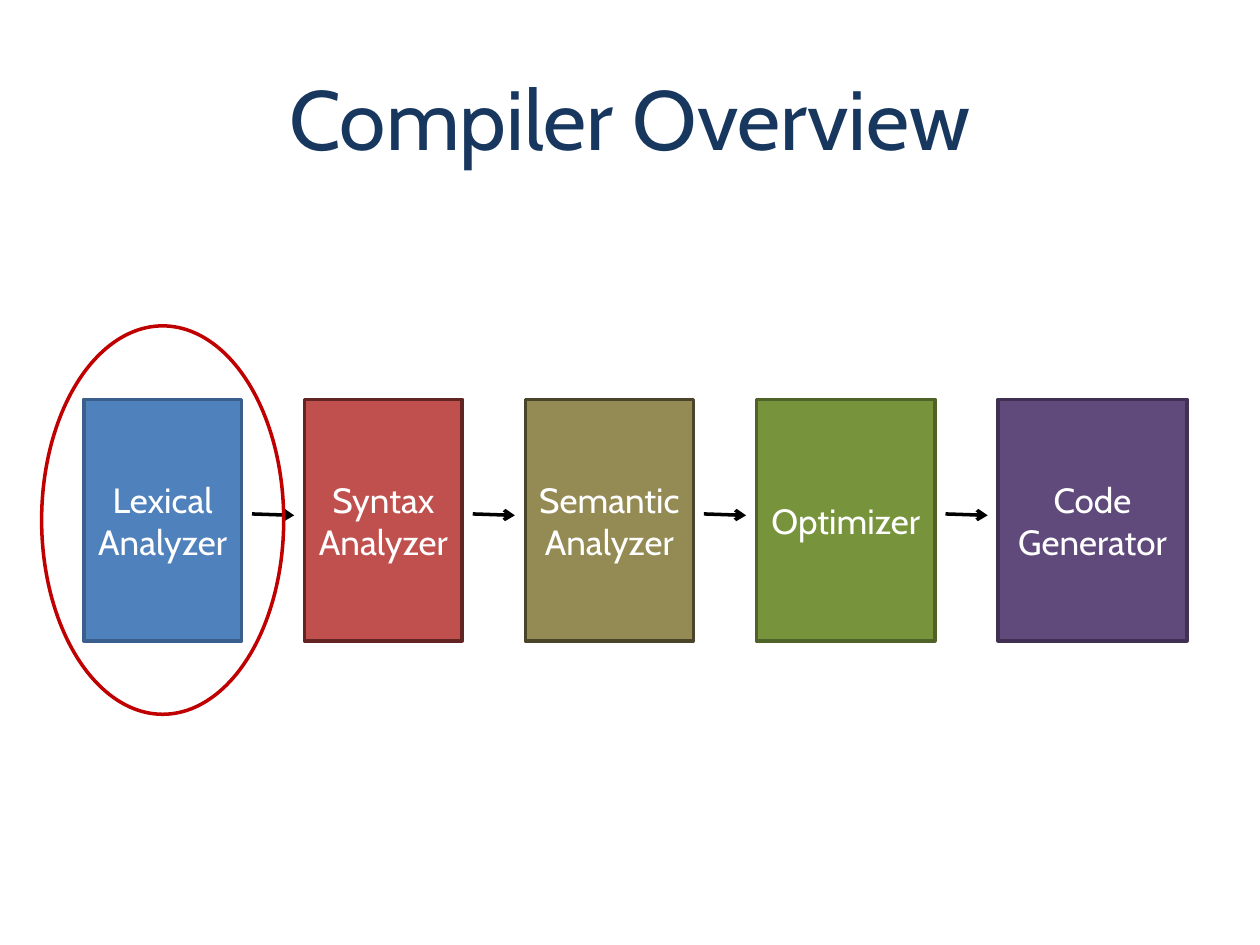
from lxml import etree
from pptx import Presentation
from pptx import util as u
from pptx.dml.color import RGBColor
from pptx.enum import shapes, text
from pptx.oxml import ns

NAVY = RGBColor(0x17, 0x37, 0x5E)
WHITE = RGBColor(0xFF, 0xFF, 0xFF)
BLACK = RGBColor(0x00, 0x00, 0x00)
HIGHLIGHT = RGBColor(0xC0, 0x00, 0x00)
BLUE, BLUE_EDGE = RGBColor(0x4F, 0x81, 0xBD), RGBColor(0x3A, 0x5F, 0x8C)
RED, RED_EDGE = RGBColor(0xC0, 0x50, 0x4D), RGBColor(0x63, 0x25, 0x23)
TAN, TAN_EDGE = RGBColor(0x94, 0x8A, 0x54), RGBColor(0x4A, 0x45, 0x2A)
GREEN, GREEN_EDGE = RGBColor(0x77, 0x93, 0x3C), RGBColor(0x4F, 0x62, 0x28)
PURPLE, PURPLE_EDGE = RGBColor(0x60, 0x4A, 0x7B), RGBColor(0x40, 0x31, 0x52)

TITLE = "Compiler Overview"
STAGES = [
    (["Lexical", "Analyzer"], 3.18, BLUE, BLUE_EDGE),
    (["Syntax", "Analyzer"], 3.18, RED, RED_EDGE),
    (["Semantic", "Analyzer"], 3.39, TAN, TAN_EDGE),
    (["Optimizer"], 3.6, GREEN, GREEN_EDGE),
    (["Code", "Generator"], 3.81, PURPLE, PURPLE_EDGE),
]
LEFT, TOP, HEIGHT, GAP = 1.69, 8.05, 4.87, 1.27
ARROW_INSET, ARROW_TOP, ARROW_DROP = 0.21, 10.36, 0.03
OVAL_MARGIN_X, OVAL_MARGIN_Y = 0.85, 1.48
LINE_WIDTH = u.Pt(2)


def write_text(shape, lines, size, color, font="Cabin"):
    frame = shape.text_frame
    frame.text = "\n".join(lines)
    frame.word_wrap = True
    frame.vertical_anchor = text.MSO_ANCHOR.MIDDLE
    for paragraph in frame.paragraphs:
        paragraph.alignment = text.PP_ALIGN.CENTER
        for run in paragraph.runs:
            run.font.name = font
            run.font.size = u.Pt(size)
            run.font.color.rgb = color


def add_outlined(slide, kind, left, top, width, height, edge, fill=None):
    shape = slide.shapes.add_shape(kind, u.Cm(left), u.Cm(top), u.Cm(width), u.Cm(height))
    shape.shadow.inherit = False
    if fill is None:
        shape.fill.background()
    else:
        shape.fill.solid()
        shape.fill.fore_color.rgb = fill
    shape.line.color.rgb = edge
    shape.line.width = LINE_WIDTH
    return shape


def add_arrow(slide, start, end):
    arrow = slide.shapes.add_connector(
        shapes.MSO_CONNECTOR.STRAIGHT,
        u.Cm(start), u.Cm(ARROW_TOP), u.Cm(end), u.Cm(ARROW_TOP + ARROW_DROP))
    arrow.line.color.rgb = BLACK
    arrow.line.width = LINE_WIDTH
    etree.SubElement(arrow.line._get_or_add_ln(), ns.qn("a:tailEnd"), type="arrow")
    etree.SubElement(arrow._element.spPr, ns.qn("a:effectLst"))


def main():
    presentation = Presentation()
    presentation.slide_width, presentation.slide_height = u.Cm(25.4), u.Cm(19.05)
    slide = presentation.slides.add_slide(presentation.slide_layouts.get_by_name("Title Only"))

    title = slide.shapes.title
    title.left, title.top = u.Cm(1.27), u.Cm(0.76)
    title.width, title.height = u.Cm(22.86), u.Cm(3.18)
    write_text(title, [TITLE], size=48, color=NAVY)

    left = LEFT
    for index, (lines, width, fill, edge) in enumerate(STAGES):
        box = add_outlined(slide, shapes.MSO_SHAPE.RECTANGLE,
                           left, TOP, width, HEIGHT, edge, fill)
        box.text_frame.margin_left = box.text_frame.margin_right = u.Cm(0.1)
        write_text(box, lines, size=20, color=WHITE)
        if index:
            add_arrow(slide, left - GAP + ARROW_INSET, left - ARROW_INSET)
        left += width + GAP

    first_width = STAGES[0][1]
    add_outlined(slide, shapes.MSO_SHAPE.OVAL,
                 LEFT - OVAL_MARGIN_X, TOP - OVAL_MARGIN_Y,
                 first_width + 2 * OVAL_MARGIN_X, HEIGHT + 2 * OVAL_MARGIN_Y, HIGHLIGHT)

    presentation.save("out.pptx")


if __name__ == "__main__":
    main()
